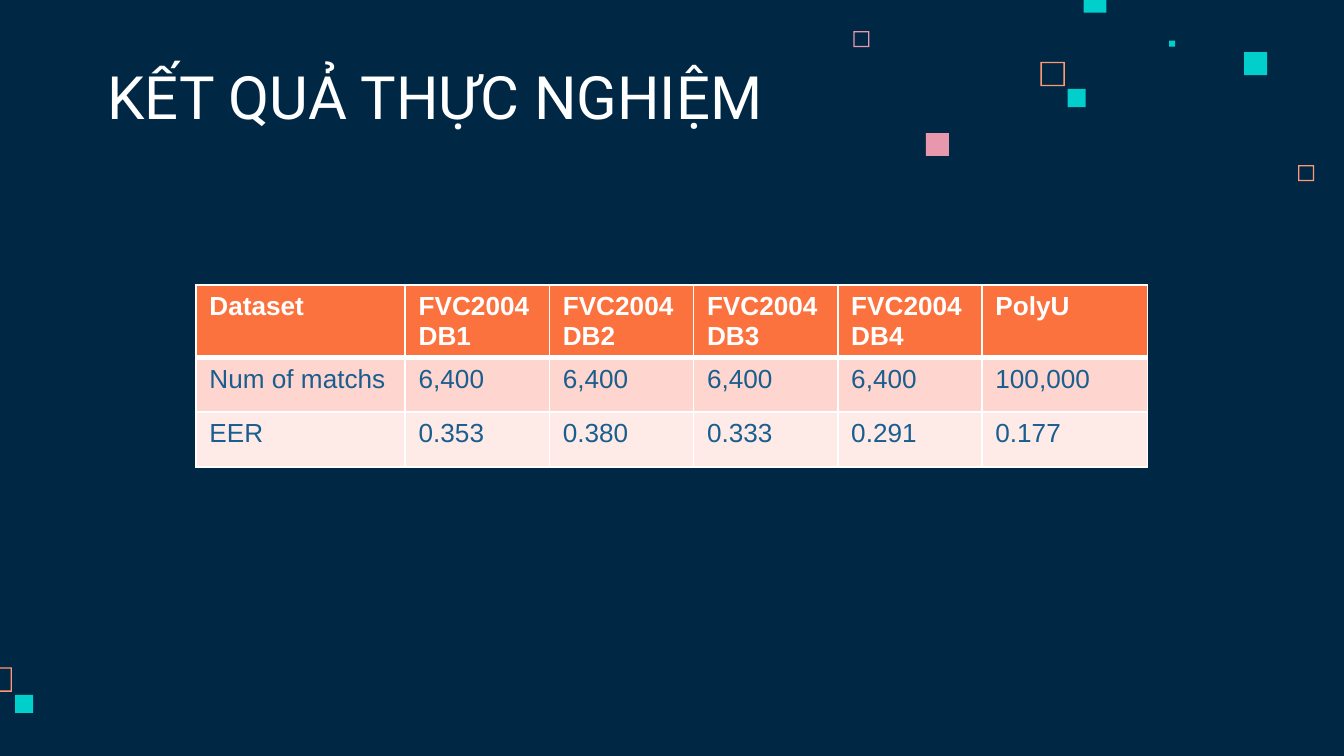
import pptx
import pptx.util
import pptx.dml.color
import pptx.enum.shapes
import pptx.enum.text
import pptx.oxml.ns
import lxml.etree

Pt = pptx.util.Pt
RGBColor = pptx.dml.color.RGBColor
MSO_SHAPE = pptx.enum.shapes.MSO_SHAPE

NAVY = RGBColor(0x00, 0x28, 0x45)
WHITE = RGBColor(0xFF, 0xFF, 0xFF)
PEACH = RGBColor(0xFF, 0x99, 0x73)
PINK = RGBColor(0xE8, 0x98, 0xAC)
TEAL = RGBColor(0x00, 0xCF, 0xCC)
ORANGE = RGBColor(0xFC, 0x72, 0x3F)
ROSE = RGBColor(0xFE, 0xD5, 0xCF)
BLUSH = RGBColor(0xFE, 0xEB, 0xE8)
BLUE = RGBColor(0x1A, 0x5E, 0x8F)


def add_run(p, text, font, size, color, bold=False):
    r = p.add_run()
    r.text = text
    r.font.name = font
    r.font.size = Pt(size)
    r.font.bold = bold
    r.font.color.rgb = color


def add_border(cell, side, width):
    tcPr = cell._tc.get_or_add_tcPr()
    qn = pptx.oxml.ns.qn
    ln = lxml.etree.SubElement(tcPr, qn("a:ln" + side), w=str(Pt(width)))
    fill = lxml.etree.SubElement(ln, qn("a:solidFill"))
    lxml.etree.SubElement(fill, qn("a:srgbClr"), val=str(WHITE))


prs = pptx.Presentation()
prs.slide_width = Pt(720)
prs.slide_height = Pt(405)
s = prs.slides.add_slide(prs.slide_layouts[5])
s.background.fill.solid()
s.background.fill.fore_color.rgb = NAVY

squares = [
    (MSO_SHAPE.FRAME, 695.4, 88.5, 8.6, PEACH),
    (MSO_SHAPE.FRAME, 457.2, 16.7, 8.6, PINK),
    (MSO_SHAPE.FRAME, 557.4, 33.1, 13, PEACH),
    (MSO_SHAPE.RECTANGLE, 626.3, 21.8, 3.3, TEAL),
    (MSO_SHAPE.RECTANGLE, 580.5, -5.5, 12.3, TEAL),
    (MSO_SHAPE.RECTANGLE, 666.5, 28, 12.3, TEAL),
    (MSO_SHAPE.RECTANGLE, 572, 47.7, 9.7, TEAL),
    (MSO_SHAPE.RECTANGLE, 496.1, 71.3, 12.3, PINK),
    (MSO_SHAPE.FRAME, -6.6, 357.6, 13, PEACH),
    (MSO_SHAPE.RECTANGLE, 8.1, 372.3, 9.7, TEAL),
]
for kind, x, y, size, color in squares:
    sp = s.shapes.add_shape(kind, Pt(x), Pt(y), Pt(size), Pt(size))
    sp.shadow.inherit = False
    sp.fill.solid()
    sp.fill.fore_color.rgb = color
    sp.line.fill.background()
    if kind == MSO_SHAPE.FRAME:
        sp.adjustments[0] = 0.7 / size

title = s.shapes.title
title.left, title.top, title.width, title.height = Pt(50.4), Pt(32.4), Pt(372.2), Pt(45.4)
tf = title.text_frame
tf.word_wrap = True
tf.auto_size = pptx.enum.text.MSO_AUTO_SIZE.NONE
tf.vertical_anchor = pptx.enum.text.MSO_ANCHOR.BOTTOM
tf.margin_left = tf.margin_right = tf.margin_top = tf.margin_bottom = Pt(7.2)
p = tf.paragraphs[0]
p.alignment = pptx.enum.text.PP_ALIGN.LEFT
add_run(p, "KẾT QUẢ THỰC NGHIỆM", "Roboto", 32, WHITE)

rows = [
    ["Dataset", "FVC2004\nDB1", "FVC2004\nDB2", "FVC2004\nDB3", "FVC2004\nDB4", "PolyU"],
    ["Num of matchs", "6,400", "6,400", "6,400", "6,400", "100,000"],
    ["EER", "0.353", "0.380", "0.333", "0.291", "0.177"],
]
col_widths = [112.1] + [77.25] * 4 + [88.8]
row_heights = [38.9, 29.2, 29.2]
row_fills = [ORANGE, ROSE, BLUSH]
table = s.shapes.add_table(len(rows), len(col_widths), Pt(105), Pt(152.8),
                           Pt(sum(col_widths)), Pt(sum(row_heights))).table
for col, width in zip(table.columns, col_widths):
    col.width = Pt(width)
for i, texts in enumerate(rows):
    header = i == 0
    table.rows[i].height = Pt(row_heights[i])
    for j, text in enumerate(texts):
        cell = table.cell(i, j)
        for side in "LRTB":
            thick = (header and side == "B") or (i == 1 and side == "T")
            add_border(cell, side, 3 if thick else 1)
        cell.fill.solid()
        cell.fill.fore_color.rgb = row_fills[i]
        tf = cell.text_frame
        for k, line in enumerate(text.split("\n")):
            p = tf.add_paragraph() if k else tf.paragraphs[0]
            add_run(p, line, "Arial", 14, WHITE if header else BLUE, header)

prs.save("out.pptx")
